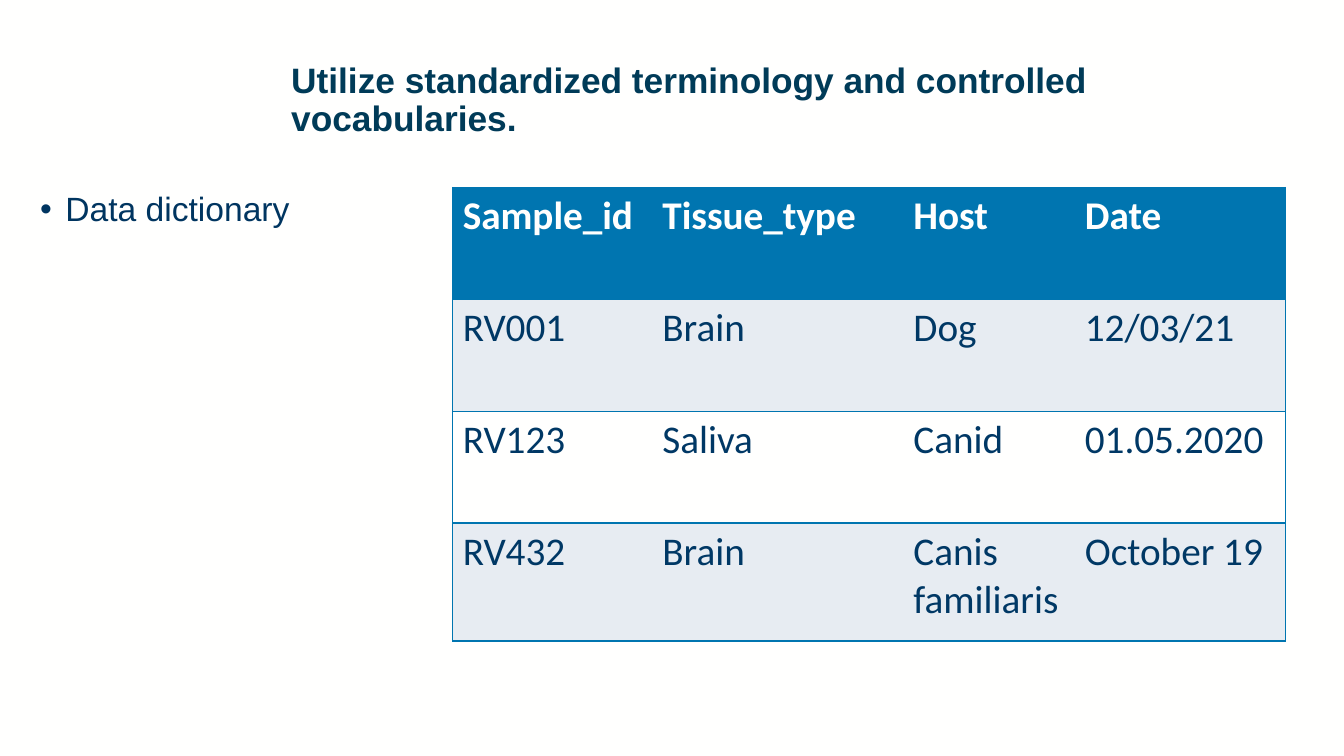
from lxml.etree import SubElement
from pptx import Presentation
from pptx.dml.color import RGBColor
from pptx.oxml.ns import qn
from pptx.util import Inches, Pt

TITLE = "Utilize standardized terminology and controlled vocabularies."
BULLET = "Data dictionary"
SAMPLES = [
    ("Sample_id", "Tissue_type", "Host", "Date"),
    ("RV001", "Brain", "Dog", "12/03/21"),
    ("RV123", "Saliva", "Canid", "01.05.2020"),
    ("RV432", "Brain", "Canis familiaris", "October 19"),
]
COLUMN_WIDTHS = (1.98, 2.49, 1.7, 2.09)
ROW_HEIGHTS = (1.11, 1.11, 1.11, 1.17)
WHITE, BLUE, PALE, NAVY = "FFFFFE", "0075B0", "E7ECF2", "003865"
NO_STYLE = "{2D5ABB26-0587-4C30-8999-92F81FD0307C}"


def color(value):
    return RGBColor.from_string(value)


def write(frame, text, *, size, hue, font="Arial", bold=False, spacing=None, bullet=None):
    frame.word_wrap = True
    paragraph = frame.paragraphs[0]
    if spacing:
        paragraph.line_spacing = spacing
    if bullet:
        properties = paragraph._p.get_or_add_pPr()
        properties.set("marL", str(Inches(0.25)))
        properties.set("indent", str(Inches(-0.25)))
        SubElement(properties, qn("a:buFont"), typeface="Arial")
        SubElement(properties, qn("a:buChar"), char=bullet)
    run = paragraph.add_run()
    run.text = text
    run.font.name, run.font.size, run.font.bold = font, Pt(size), bold
    run.font.color.rgb = color(hue)


def draw_borders(cell, sides):
    properties = cell._tc.get_or_add_tcPr()
    for side in sides:
        line = SubElement(properties, qn(f"a:ln{side}"), w=str(Pt(1)))
        SubElement(SubElement(line, qn("a:solidFill")), qn("a:srgbClr"), val=BLUE)


deck = Presentation()
deck.slide_width, deck.slide_height = Inches(13.33), Inches(7.5)
slide = deck.slides.add_slide(deck.slide_layouts[6])
slide.background.fill.solid()
slide.background.fill.fore_color.rgb = color(WHITE)

title = slide.shapes.add_textbox(Inches(2.79), Inches(0.58), Inches(10.07), Inches(0.97))
write(title.text_frame, TITLE, size=25.2, hue="003B58", bold=True, spacing=0.9)

body = slide.shapes.add_textbox(Inches(0.3), Inches(1.86), Inches(9.82), Inches(1.62))
write(body.text_frame, BULLET, size=24, hue="003560", spacing=0.9, bullet="•")

samples_frame = slide.shapes.add_table(
    len(SAMPLES), len(COLUMN_WIDTHS), Inches(4.49), Inches(1.86),
    Inches(sum(COLUMN_WIDTHS)), Inches(sum(ROW_HEIGHTS)))
samples = samples_frame.table
samples._tbl.tblPr.find(qn("a:tableStyleId")).text = NO_STYLE
for column, width in zip(samples.columns, COLUMN_WIDTHS):
    column.width = Inches(width)
for row, height in zip(samples.rows, ROW_HEIGHTS):
    row.height = Inches(height)

last = len(COLUMN_WIDTHS) - 1
for r, record in enumerate(SAMPLES):
    header = r == 0
    band = BLUE if header else PALE if r % 2 else WHITE
    for c, value in enumerate(record):
        cell = samples.cell(r, c)
        draw_borders(cell, ["L"] * (c == 0) + ["R"] * (c == last) + ["T", "B"])
        cell.fill.solid()
        cell.fill.fore_color.rgb = color(band)
        write(cell.text_frame, value, size=28, hue=WHITE if header else NAVY,
              font="Calibri", bold=header)

deck.save("out.pptx")
